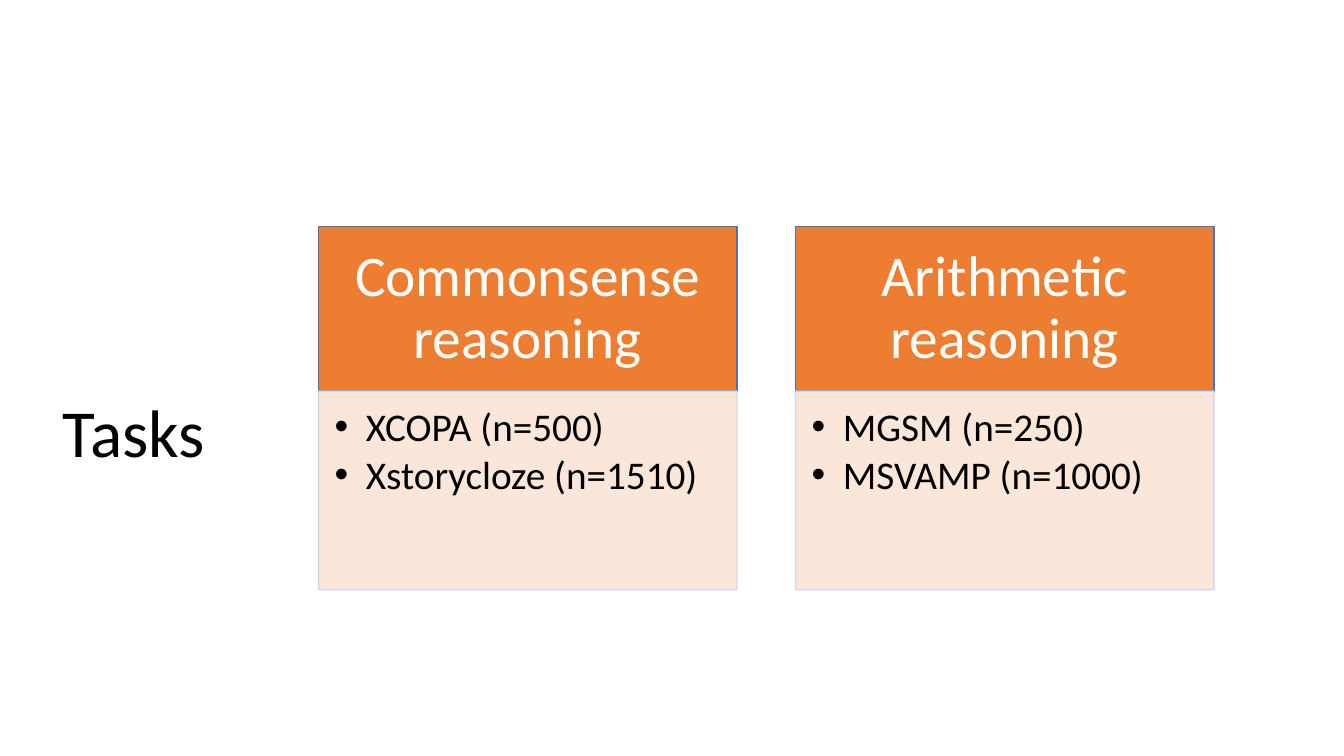
"""Build the Tasks slide: two reasoning categories with their data sets."""
import pptx
import pptx.dml.color
import pptx.enum.shapes
import pptx.enum.text
import pptx.oxml
import pptx.oxml.ns
import pptx.util

PX = 9144
FONT = "Calibri"
COLORS = {
    "text": "000000",
    "heading_text": "FFFFFF",
    "heading_fill": "ED7D31",
    "heading_line": "4472C4",
    "list_fill": "FBE5D6",
    "list_line": "CFD5EA",
}
CARD_LEFT, CARD_TOP, CARD_WIDTH, CARD_PITCH = 316, 225, 415, 473
HEADING_HEIGHT, LIST_HEIGHT = 163, 197
CARDS = [
    ("Commonsense reasoning", ["XCOPA (n=500)", "Xstorycloze (n=1510)"]),
    ("Arithmetic reasoning", ["MGSM (n=250)", "MSVAMP (n=1000)"]),
]


def rgb(name):
    return pptx.dml.color.RGBColor.from_string(COLORS[name])


def place(shape, left, top, width, height):
    shape.left, shape.top = left * PX, top * PX
    shape.width, shape.height = width * PX, height * PX


def paint(shape, fill, line):
    shape.fill.solid()
    shape.fill.fore_color.rgb = rgb(fill)
    shape.line.color.rgb = rgb(line)
    shape.line.width = pptx.util.Pt(1)


def set_opacity(shape, percent):
    for color in shape.element.spPr.iter(pptx.oxml.ns.qn("a:srgbClr")):
        color.append(pptx.oxml.parse_xml(
            f'<a:alpha {pptx.oxml.ns.nsdecls("a")} val="{percent * 1000}"/>'))


def set_frame(shape, anchor, insets):
    frame = shape.text_frame
    frame.word_wrap = True
    frame.auto_size = pptx.enum.text.MSO_AUTO_SIZE.NONE
    frame.vertical_anchor = anchor
    frame.margin_left, frame.margin_top, frame.margin_right, frame.margin_bottom = (
        inset * PX for inset in insets)
    return frame


def format_paragraph(paragraph, size, color, alignment, space_after=0):
    paragraph.alignment = alignment
    paragraph.line_spacing = 0.9
    paragraph.space_before = pptx.util.Pt(0)
    paragraph.space_after = pptx.util.Pt(space_after)
    paragraph.font.name = FONT
    paragraph.font.size = pptx.util.Pt(size)
    paragraph.font.color.rgb = rgb(color)


def add_bullet(paragraph, indent):
    properties = paragraph._p.get_or_add_pPr()
    properties.set("marL", str(indent * PX))
    properties.set("indent", str(-indent * PX))
    namespace = pptx.oxml.ns.nsdecls("a")
    properties.append(pptx.oxml.parse_xml(f'<a:buFont {namespace} typeface="Arial"/>'))
    properties.append(pptx.oxml.parse_xml(f'<a:buChar {namespace} char="•"/>'))


def fill_title(title, text):
    place(title, 52, 123, 440, 350)
    frame = set_frame(title, pptx.enum.text.MSO_ANCHOR.BOTTOM, (10, 5, 10, 5))
    frame.text = text
    format_paragraph(frame.paragraphs[0], 48, "text", pptx.enum.text.PP_ALIGN.LEFT)


def add_heading(slide, left, text):
    heading = slide.shapes.add_shape(pptx.enum.shapes.MSO_SHAPE.RECTANGLE, 0, 0, 0, 0)
    place(heading, left, CARD_TOP, CARD_WIDTH, HEADING_HEIGHT)
    heading.shadow.inherit = False
    paint(heading, "heading_fill", "heading_line")
    frame = set_frame(heading, pptx.enum.text.MSO_ANCHOR.MIDDLE, (32, 18, 32, 18))
    frame.text = text
    format_paragraph(frame.paragraphs[0], 41, "heading_text",
                     pptx.enum.text.PP_ALIGN.CENTER)
    return heading


def fill_list(body, left, items):
    place(body, left, CARD_TOP + HEADING_HEIGHT, CARD_WIDTH, LIST_HEIGHT)
    paint(body, "list_fill", "list_line")
    set_opacity(body, 90)
    frame = set_frame(body, pptx.enum.text.MSO_ANCHOR.TOP, (16, 16, 22, 24))
    frame.text = "\n".join(items)
    for paragraph in frame.paragraphs:
        paragraph.level = 1
        add_bullet(paragraph, 31)
        format_paragraph(paragraph, 28, "text", pptx.enum.text.PP_ALIGN.LEFT, 4.2)


def main():
    presentation = pptx.Presentation()
    presentation.slide_width = 1333 * PX
    presentation.slide_height = 750 * PX
    slide = presentation.slides.add_slide(
        presentation.slide_layouts.get_by_name("Two Content"))
    title, *bodies = slide.placeholders
    fill_title(title, "Tasks")
    for index, (body, (name, items)) in enumerate(zip(bodies, CARDS)):
        left = CARD_LEFT + index * CARD_PITCH
        heading = add_heading(slide, left, name)
        fill_list(body, left, items)
        heading.element.addnext(body.element)
    presentation.save("out.pptx")


if __name__ == "__main__":
    main()
